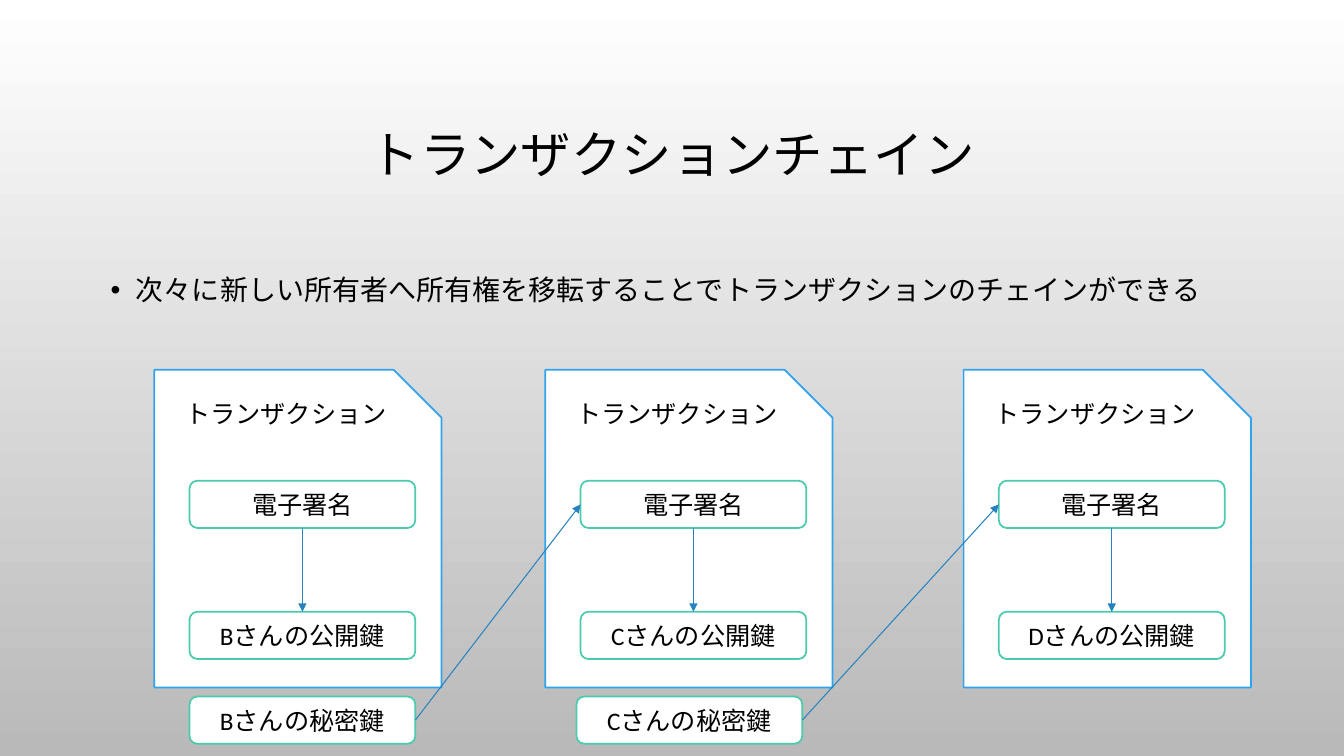
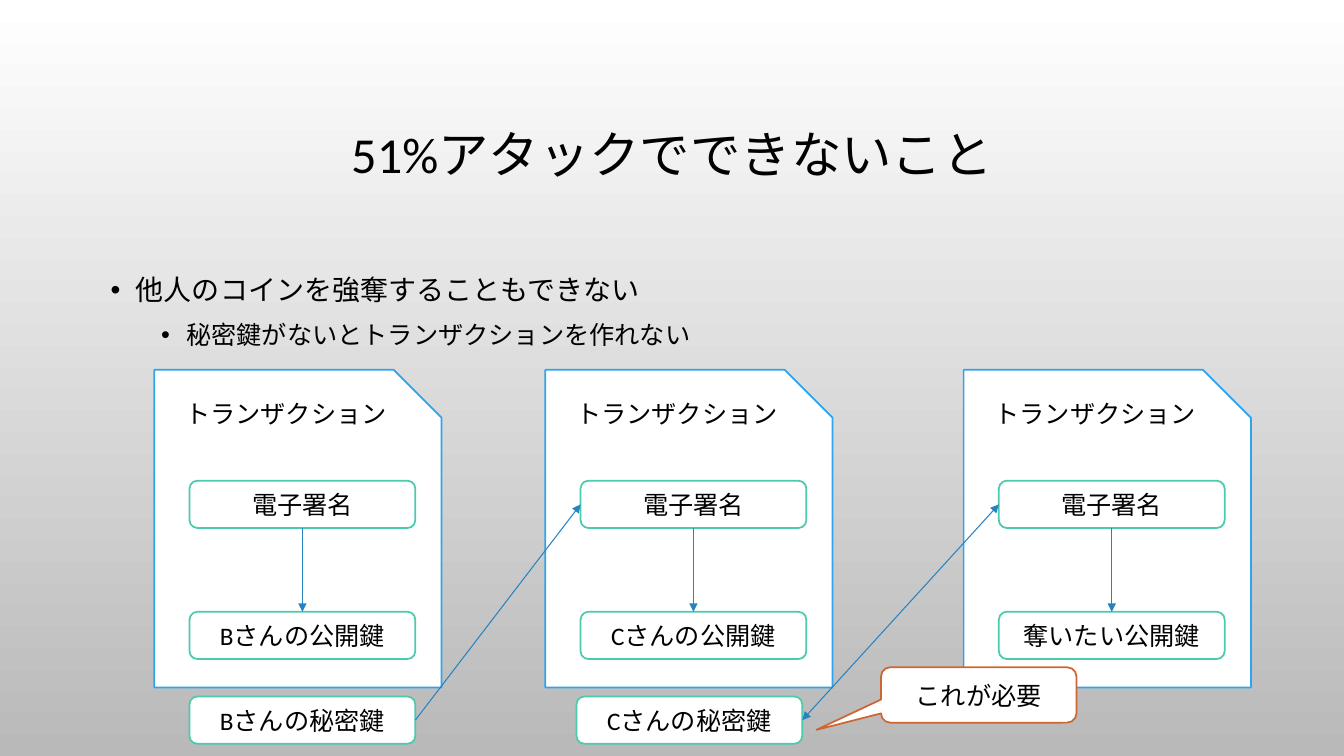
from dataclasses import dataclass

from lxml import etree
from pptx import Presentation
from pptx import util as u
from pptx.dml.color import RGBColor
from pptx.enum import shapes, text
from pptx.oxml import ns


@dataclass(frozen=True)
class Theme:
    font: str = "Calibri"
    ink: str = "000000"
    paper: str = "FFFFFF"
    shade: str = "B9B9B9"
    card: str = "2FA3EE"
    key: str = "4BCAAD"
    arrow: str = "2683BF"
    alert: str = "CE6633"
    head: int = 36
    body: int = 20
    small: int = 18
    edge: float = 1.25
    thin: float = 0.75


THEME = Theme()
KIND = shapes.MSO_SHAPE
MID = text.MSO_ANCHOR.MIDDLE
TOP = text.MSO_ANCHOR.TOP
MARGIN, SPAN = 72, 816
CARDS = (110.2, 389.5, 688.3)
CARD_TOP, CARD_W, CARD_H = 264.2, 226.8 - 21.6, 226.8
INSET, KEY_W, KEY_H = 25.2, 161.3, 33.8
SIGN_TOP, OPEN_TOP, LOCK_TOP = 343.4, 437, 497.5
LOCKS = (135.4, 411.8)
TOP_SITE, LEFT_SITE, LOW_SITE, RIGHT_SITE = range(4)


def rgb(code):
    return RGBColor.from_string(code)


def area(*box):
    return [u.Pt(side) for side in box]


def add(parent, tag, **attrs):
    return etree.SubElement(parent, ns.qn(tag), attrs)


def write(par, words, size):
    run = par.add_run()
    run.text = words
    run.font.name = THEME.font
    run.font.size = u.Pt(size)
    run.font.color.rgb = rgb(THEME.ink)


def frame(slide, box, anchor):
    body = slide.shapes.add_textbox(*area(*box)).text_frame
    body.word_wrap = True
    body.vertical_anchor = anchor
    return body


def title(slide, words):
    par = frame(slide, (MARGIN, 49, SPAN, 126), MID).paragraphs[0]
    par.alignment = text.PP_ALIGN.CENTER
    par.line_spacing = 0.9
    write(par, words, THEME.head)


def bullets(slide, lines):
    body = frame(slide, (MARGIN, 186.5, SPAN, 269.3), TOP)
    for level, words in enumerate(lines):
        par = body.add_paragraph() if level else body.paragraphs[0]
        par.level = level
        props = par._p.get_or_add_pPr()
        props.set("marL", str(u.Pt(18 + 36 * level)))
        props.set("indent", str(u.Pt(-18)))
        add(add(props, "a:buClr"), "a:srgbClr", val=THEME.ink)
        add(props, "a:buFont", typeface="Arial")
        add(props, "a:buChar", char="•")
        par.line_spacing = 1.2
        if level:
            par.space_before = u.Pt(5)
        write(par, words, THEME.small if level else THEME.body)


def block(slide, kind, box, words, edge, anchor=MID):
    shape = slide.shapes.add_shape(kind, *area(*box))
    shape.shadow.inherit = False
    shape.fill.solid()
    shape.fill.fore_color.rgb = rgb(THEME.paper)
    shape.line.color.rgb = rgb(edge)
    shape.line.width = u.Pt(THEME.edge)
    shape.text_frame.vertical_anchor = anchor
    par = shape.text_frame.paragraphs[0]
    par.alignment = text.PP_ALIGN.CENTER
    write(par, words, THEME.small)
    return shape


def key(slide, left, top, words):
    box = (left, top, KEY_W, KEY_H)
    return block(slide, KIND.ROUNDED_RECTANGLE, box, words, THEME.key)


def arrow(slide, start, start_site, end, end_site, both=False):
    link = slide.shapes.add_connector(shapes.MSO_CONNECTOR.STRAIGHT, 0, 0, 0, 0)
    link.begin_connect(start, start_site)
    link.end_connect(end, end_site)
    link.line.color.rgb = rgb(THEME.arrow)
    link.line.width = u.Pt(THEME.thin)
    props = link._element.spPr
    line = props.find(ns.qn("a:ln"))
    if both:
        add(line, "a:headEnd", type="triangle")
    add(line, "a:tailEnd", type="triangle")
    add(props, "a:effectLst")


def card(slide, left, words):
    box = (left, CARD_TOP, CARD_W, CARD_H)
    block(slide, KIND.SNIP_1_RECTANGLE, box, "トランザクション", THEME.card, TOP)
    public = key(slide, left + INSET, OPEN_TOP, words)
    sign = key(slide, left + INSET, SIGN_TOP, "電子署名")
    arrow(slide, sign, LOW_SITE, public, TOP_SITE)
    return sign


def chain(slide, last, both=False):
    names = ("Bさんの公開鍵", "Cさんの公開鍵", last)
    signs = [card(slide, left, words) for left, words in zip(CARDS, names)]
    locks = zip(LOCKS, ("Bさんの秘密鍵", "Cさんの秘密鍵"), signs[1:], (False, both))
    for left, words, sign, twin in locks:
        lock = key(slide, left, LOCK_TOP, words)
        arrow(slide, lock, RIGHT_SITE, sign, LEFT_SITE, twin)


def callout(slide, words):
    box = (629.3, 476.6, 139.7, 39.6)
    shape = block(slide, KIND.ROUNDED_RECTANGULAR_CALLOUT, box, words, THEME.alert)
    for index, value in enumerate((-0.83, 0.63, 0.17)):
        shape.adjustments[index] = value


def backdrop(deck):
    fill = deck.slide_master.background.fill
    fill.gradient()
    fill.gradient_angle = 270
    for stop, code in zip(fill.gradient_stops, (THEME.paper, THEME.shade)):
        stop.color.rgb = rgb(code)


def page(deck, heading, lines):
    slide = deck.slides.add_slide(deck.slide_layouts[6])
    title(slide, heading)
    bullets(slide, lines)
    return slide


def main():
    deck = Presentation()
    deck.slide_width, deck.slide_height = area(960, 540)
    backdrop(deck)

    slide = page(deck, "トランザクションチェイン", [
        "次々に新しい所有者へ所有権を移転することでトランザクションのチェインができる",
    ])
    chain(slide, "Dさんの公開鍵")

    slide = page(deck, "51%アタックでできないこと", [
        "他人のコインを強奪することもできない",
        "秘密鍵がないとトランザクションを作れない",
    ])
    chain(slide, "奪いたい公開鍵", both=True)
    callout(slide, "これが必要")

    deck.save("out.pptx")


if __name__ == "__main__":
    main()
